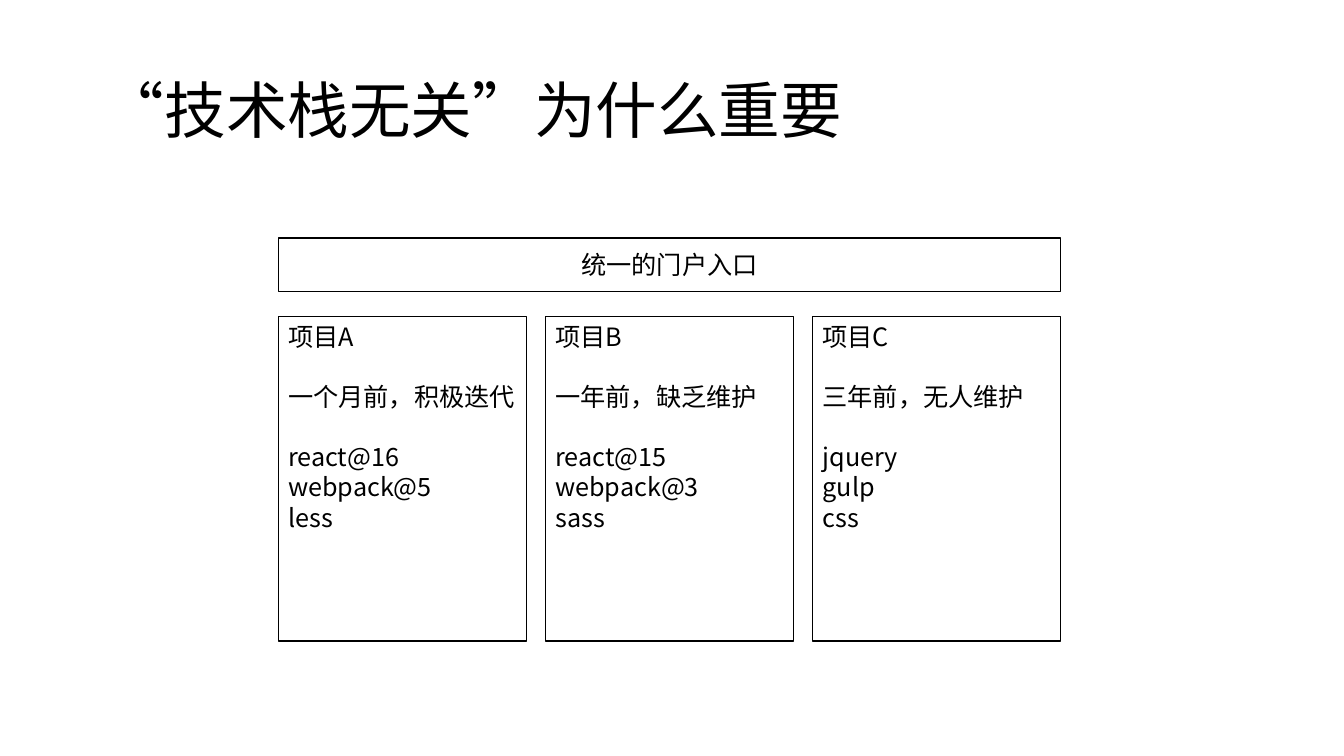
"""Build the slide on why being independent of the tech stack matters."""
from dataclasses import dataclass

from lxml.etree import SubElement
from pptx import Presentation
from pptx.dml.color import RGBColor
from pptx.enum.shapes import MSO_SHAPE
from pptx.enum.text import MSO_ANCHOR, MSO_AUTO_SIZE, PP_ALIGN
from pptx.oxml.ns import qn
from pptx.util import Inches, Pt


@dataclass(frozen=True)
class Theme:
    """Colours, font and type sizes of the slide."""
    ink: RGBColor = RGBColor(0, 0, 0)
    font: str = "Noto Sans CJK SC"
    title: int = 44
    body: int = 18
    leading: float = 21.5


THEME = Theme()
PROJECTS = [
    ("项目A", "一个月前，积极迭代", ["react@16", "webpack@5", "less"]),
    ("项目B", "一年前，缺乏维护", ["react@15", "webpack@3", "sass"]),
    ("项目C", "三年前，无人维护", ["jquery", "gulp", "css"]),
]


def write(p, text, size=THEME.body, align=PP_ALIGN.LEFT, spacing=Pt(THEME.leading), before=0):
    """Fill a paragraph with one formatted run."""
    p.alignment = align
    p.line_spacing = spacing
    p.space_before = Pt(before)
    r = p.add_run()
    r.text = text
    r.font.name = THEME.font
    r.font.size = Pt(size)
    r.font.color.rgb = THEME.ink
    rPr = r.font._element
    rPr.set("lang", "zh-CN")
    SubElement(rPr, qn("a:ea"), typeface=THEME.font)


def add_box(slide, left, top, width, height, anchor):
    """Add an outlined rectangle and return its text frame."""
    sp = slide.shapes.add_shape(
        MSO_SHAPE.RECTANGLE, Inches(left), Inches(top), Inches(width), Inches(height))
    sp.shadow.inherit = False
    sp.fill.background()
    sp.line.color.rgb = THEME.ink
    sp.line.width = Pt(1)
    tf = sp.text_frame
    tf.word_wrap = True
    tf.vertical_anchor = anchor
    return tf


def add_title(slide, left, top, width, height):
    """Place and format the title placeholder."""
    sp = slide.shapes.title
    sp.left, sp.top = Inches(left), Inches(top)
    sp.width, sp.height = Inches(width), Inches(height)
    tf = sp.text_frame
    tf.auto_size = MSO_AUTO_SIZE.NONE
    tf.vertical_anchor = MSO_ANCHOR.MIDDLE
    write(tf.paragraphs[0], "“技术栈无关”为什么重要", size=THEME.title, spacing=0.9)


def add_portal(slide, left, top, width, height):
    """Add the shared portal bar."""
    tf = add_box(slide, left, top, width, height, MSO_ANCHOR.MIDDLE)
    write(tf.paragraphs[0], "统一的门户入口", align=PP_ALIGN.CENTER)


def add_project(slide, left, top, width, height, name, status, stack):
    """Add one project card with its name, status and stack."""
    tf = add_box(slide, left, top, width, height, MSO_ANCHOR.TOP)
    write(tf.paragraphs[0], name)
    write(tf.add_paragraph(), status, before=THEME.leading)
    for i, tool in enumerate(stack):
        write(tf.add_paragraph(), tool, before=0 if i else THEME.leading)


def add_projects(slide, left, top, width, height, gap=0.19):
    """Spread the project cards evenly across the given box."""
    card = (width - gap * (len(PROJECTS) - 1)) / len(PROJECTS)
    for i, project in enumerate(PROJECTS):
        add_project(slide, left + i * (card + gap), top, card, height, *project)


def main():
    """Build and save the presentation."""
    prs = Presentation()
    prs.slide_width, prs.slide_height = Inches(13.33), Inches(7.5)
    slide = prs.slides.add_slide(prs.slide_layouts[5])
    add_title(slide, 0.92, 0.4, 11.5, 1.45)
    add_portal(slide, 2.76, 2.36, 7.76, 0.53)
    add_projects(slide, 2.76, 3.14, 7.76, 3.22)
    prs.save("out.pptx")


main()
